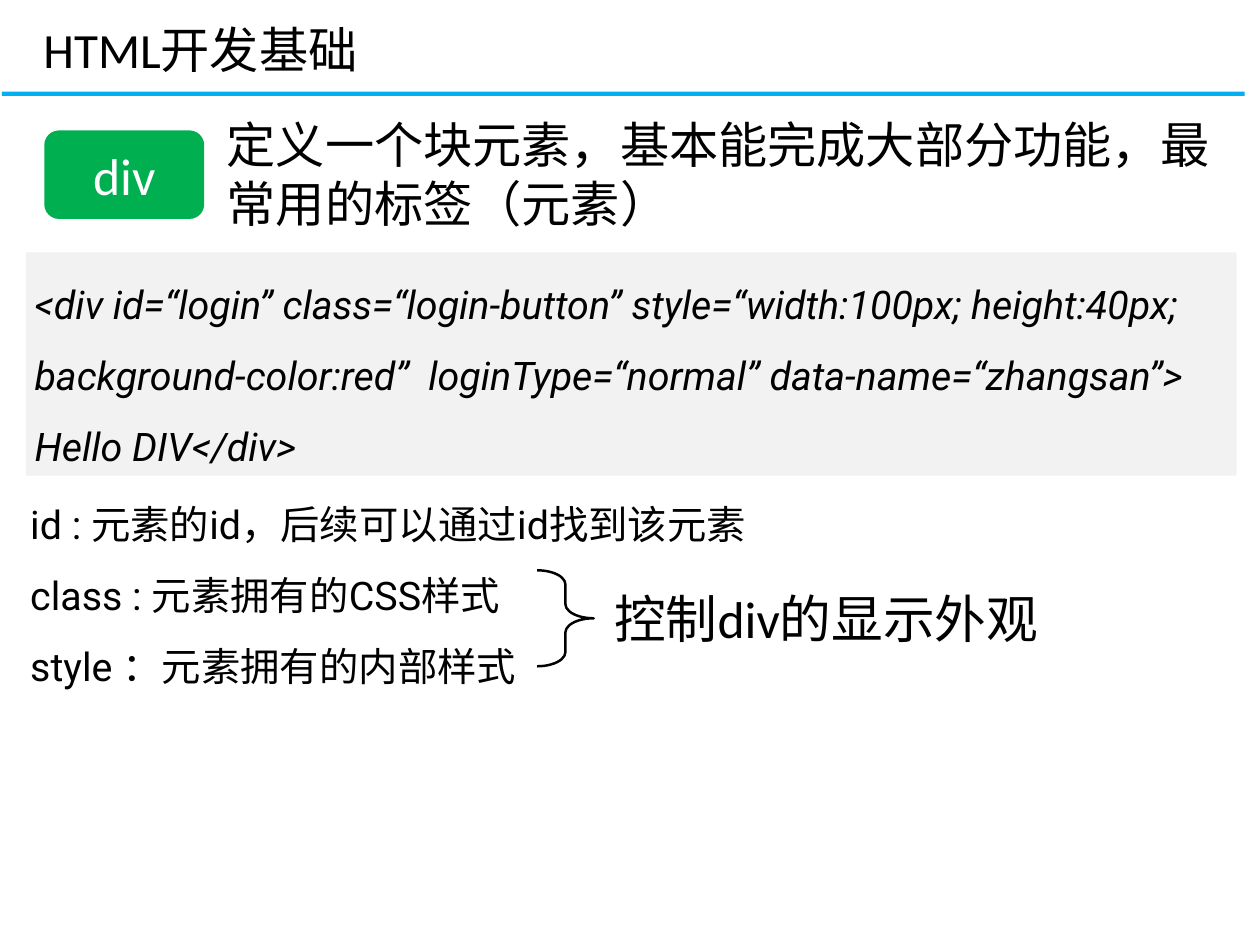
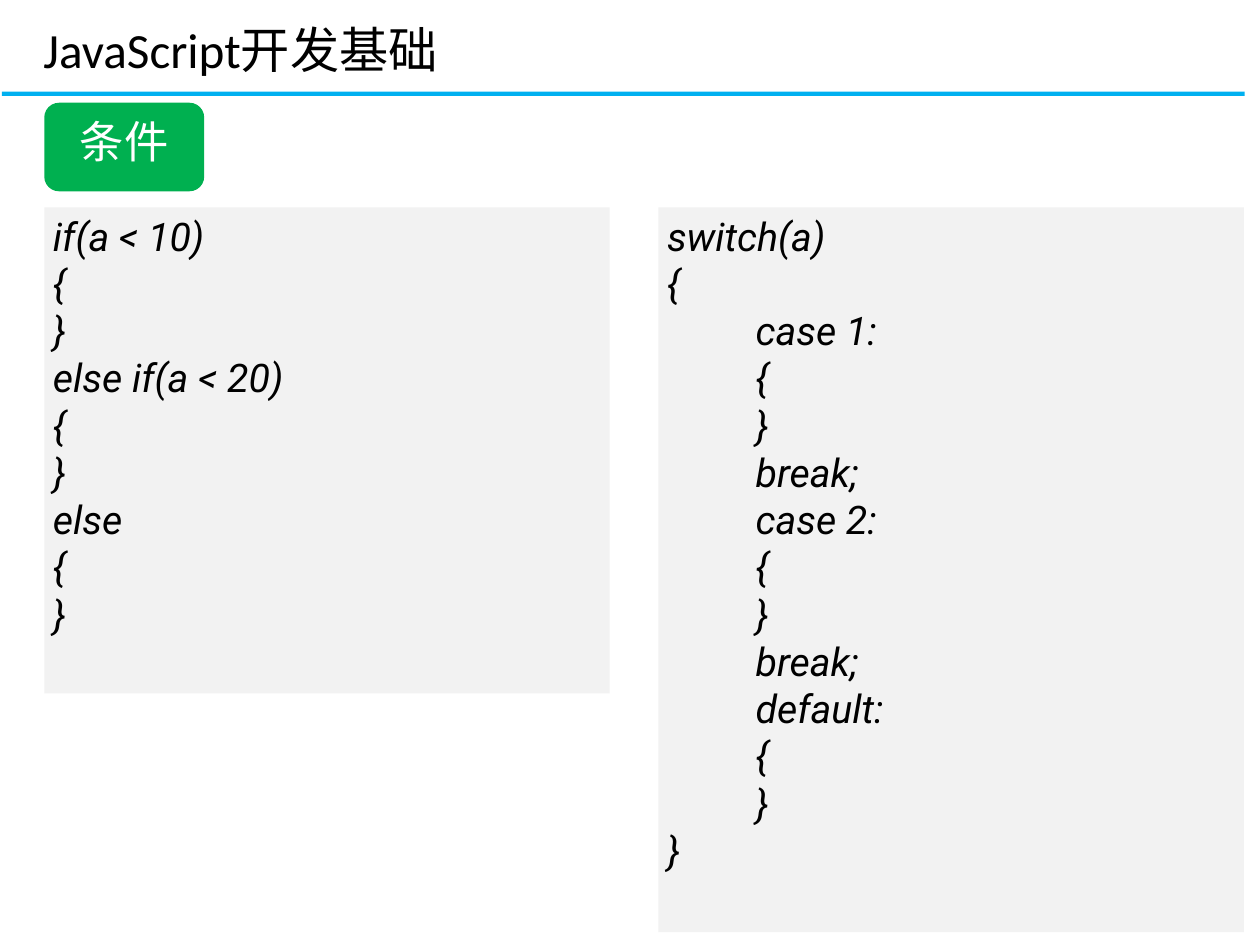
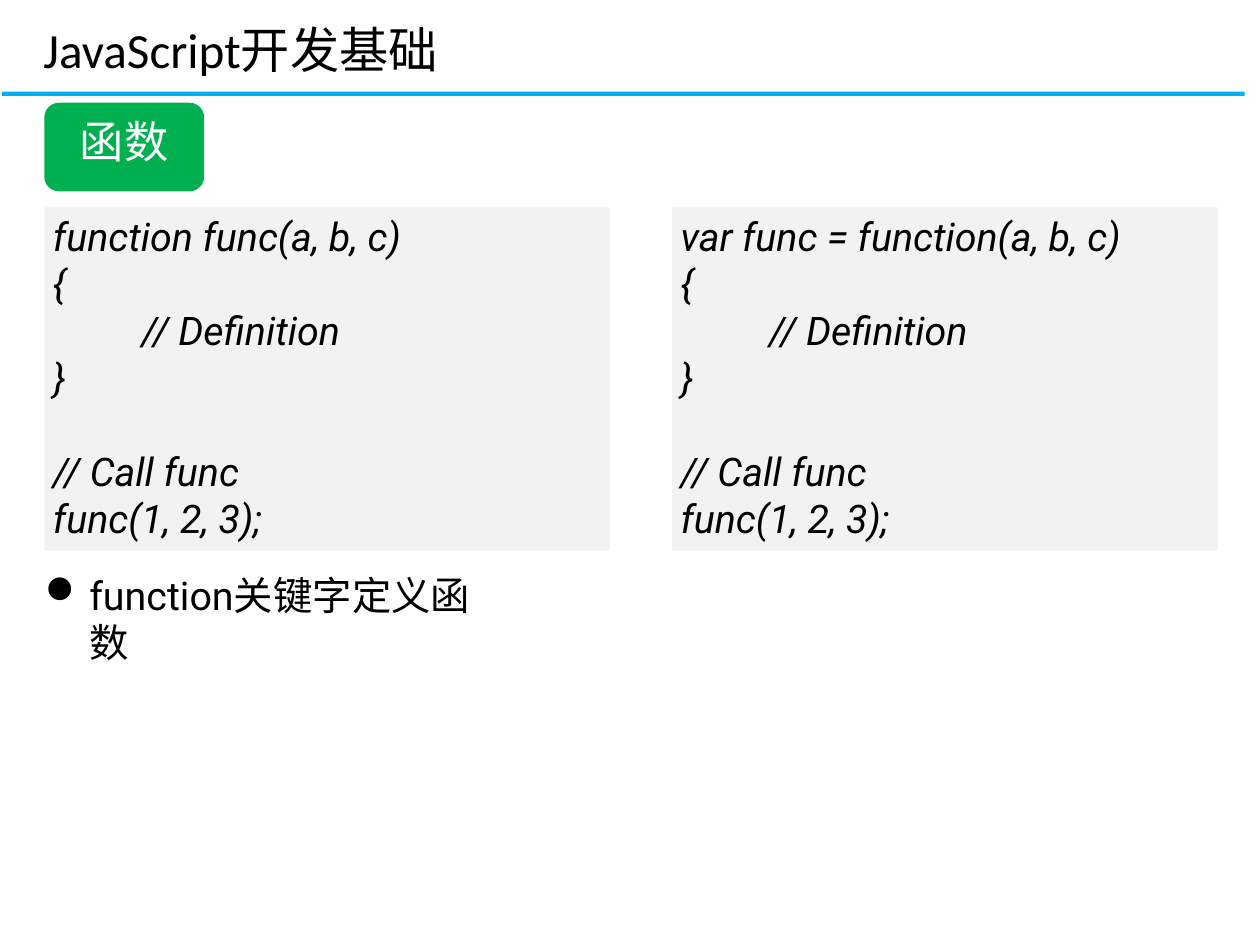
from dataclasses import dataclass
from lxml.etree import SubElement
from pptx import Presentation
from pptx.dml.color import RGBColor
from pptx.enum.shapes import MSO_SHAPE
from pptx.enum.text import MSO_ANCHOR, PP_ALIGN
from pptx.oxml.ns import qn
from pptx.util import Pt


@dataclass(frozen=True)
class Theme:
    ink: str = "000000"
    white: str = "FFFFFF"
    blue: str = "00B0F0"
    green: str = "00B050"
    gray: str = "F2F2F2"
    head: str = "Calibri"
    body: str = "Roboto"
    mark: str = "Wingdings"
    big: int = 42
    title: int = 40
    tag: int = 36
    text: int = 32
    line: float = 37.75
    tab: int = 72


T = Theme()
WIDTH, HEIGHT = 1024, 768
LEFT, TOP = 36, 168.5

DIV = {
    "title": "HTML开发基础",
    "tag": "div",
    "intro": "定义一个块元素，基本能完成大部分功能，最常用的标签（元素）",
    "code": ["<div id=“login” class=“login-button” style=“width:100px; height:40px; "
             "background-color:red”  loginType=“normal” data-name=“zhangsan”> "
             "Hello DIV</div>"],
    "attrs": ["id : 元素的id，后续可以通过id找到该元素",
              "class : 元素拥有的CSS样式",
              "style ：元素拥有的内部样式"],
    "note": "控制div的显示外观",
}

BLOCK = ["{", "}"]
INNER = ["\t{", "\t}"]
CALL = ["{", "\t// Definition", "}", "", "// Call func", "func(1, 2, 3);"]

# Each panel: left, width, code lines
SCRIPTS = [
    {"title": "JavaScript开发基础", "tag": "条件", "heights": (395, 589),
     "panels": [
         (LEFT, 459.5, ["if(a < 10)", *BLOCK, "else if(a < 20)", *BLOCK,
                        "else", *BLOCK]),
         (535, 476, ["switch(a)", "{", "\tcase 1:", *INNER, "\tbreak;",
                     "\tcase 2:", *INNER, "\tbreak;",
                     "\tdefault:", *INNER, "}"])]},
    {"title": "JavaScript开发基础", "tag": "函数", "heights": (279, 279),
     "panels": [
         (LEFT, 459.5, ["function func(a, b, c)", *CALL]),
         (546, 444, ["var func = function(a, b, c)", *CALL])],
     "bullet": "function关键字定义函数"},
]


def color(code):
    return RGBColor.from_string(code)


def shape(slide, kind, box, fill=None, line=None):
    item = slide.shapes.add_shape(kind, *map(Pt, box))
    item.shadow.inherit = False
    if fill:
        item.fill.solid()
        item.fill.fore_color.rgb = color(fill)
    else:
        item.fill.background()
    if line:
        item.line.color.rgb = color(line)
        item.line.width = Pt(2)
    else:
        item.line.fill.background()
    return item


def bullet(para, indent):
    """Hang a round bullet; the letter l is a disc in the symbol font."""
    props = para._p.get_or_add_pPr()
    props.set("marL", str(Pt(indent)))
    props.set("indent", str(-Pt(indent)))
    SubElement(props, qn("a:buFont")).set("typeface", T.mark)
    SubElement(props, qn("a:buChar")).set("char", "l")


def write(item, lines, size=T.text, font=T.body, ink=T.ink, italic=False,
          align=PP_ALIGN.LEFT, space=None, indent=0, pad=(7.2, 3.6)):
    """Fill a shape with lines; an empty line becomes space before the next."""
    frame = item.text_frame
    frame.word_wrap = True
    frame.vertical_anchor = MSO_ANCHOR.TOP
    frame.margin_left = frame.margin_right = Pt(pad[0])
    frame.margin_top = frame.margin_bottom = Pt(pad[1])
    para, gap = frame.paragraphs[0], 0
    for pos, line in enumerate(lines):
        if not line:
            gap += T.line
            continue
        if pos:
            para = frame.add_paragraph()
        if gap:
            para.space_before, gap = Pt(gap), 0
        para.alignment = align
        para._p.get_or_add_pPr().set("defTabSz", str(Pt(T.tab)))
        if space:
            para.line_spacing = space
        if indent:
            bullet(para, indent)
        run = para.add_run()
        run.text = line
        run.font.size = Pt(size)
        run.font.name = font
        run.font.italic = italic
        run.font.color.rgb = color(ink)


def label(slide, box, lines, **style):
    write(slide.shapes.add_textbox(*map(Pt, box)), lines, **style)


def panel(slide, box, lines, **style):
    write(shape(slide, MSO_SHAPE.RECTANGLE, box, T.gray), lines,
          italic=True, **style)


def start(deck, title):
    slide = deck.slides.add_slide(deck.slide_layouts[6])
    shape(slide, MSO_SHAPE.RECTANGLE, (1.5, 74.5, 1010, 3.5), T.blue)
    label(slide, (28.25, 12.25, 818, 58), [title], size=T.title, font=T.head)
    return slide


def badge(slide, top, text, **style):
    pill = shape(slide, MSO_SHAPE.ROUNDED_RECTANGLE, (LEFT, top, 130, 72), T.green)
    write(pill, [text], ink=T.white, align=PP_ALIGN.CENTER, **style)


def element(deck, data):
    slide = start(deck, data["title"])
    badge(slide, 106, data["tag"], size=T.big, font=T.head, pad=(0, 7.5))
    label(slide, (177.25, 89.5, 828, 104), [data["intro"]], size=T.title)
    panel(slide, (21, 205, 984, 181.5), data["code"], space=1.5)
    label(slide, (17.5, 384, 988, 181.5), data["attrs"], space=1.5)
    brace = shape(slide, MSO_SHAPE.RIGHT_BRACE, (436.5, 463.5, 46, 78), line=T.ink)
    brace.adjustments[0] = 0.25
    label(slide, (483, 473, 377, 58), [data["note"]], size=T.big, font=T.head,
          align=PP_ALIGN.CENTER, pad=(0, 3.6))


def script(deck, data):
    slide = start(deck, data["title"])
    badge(slide, 83.5, data["tag"], size=T.tag, pad=(0, 6))
    for (left, width, lines), height in zip(data["panels"], data["heights"]):
        panel(slide, (left, TOP, width, height), lines)
    if "bullet" in data:
        label(slide, (29.5, 460.5, 389, 83), [data["bullet"]], indent=36)


def main():
    deck = Presentation()
    deck.slide_width, deck.slide_height = Pt(WIDTH), Pt(HEIGHT)
    element(deck, DIV)
    for data in SCRIPTS:
        script(deck, data)
    deck.save("out.pptx")


if __name__ == "__main__":
    main()
